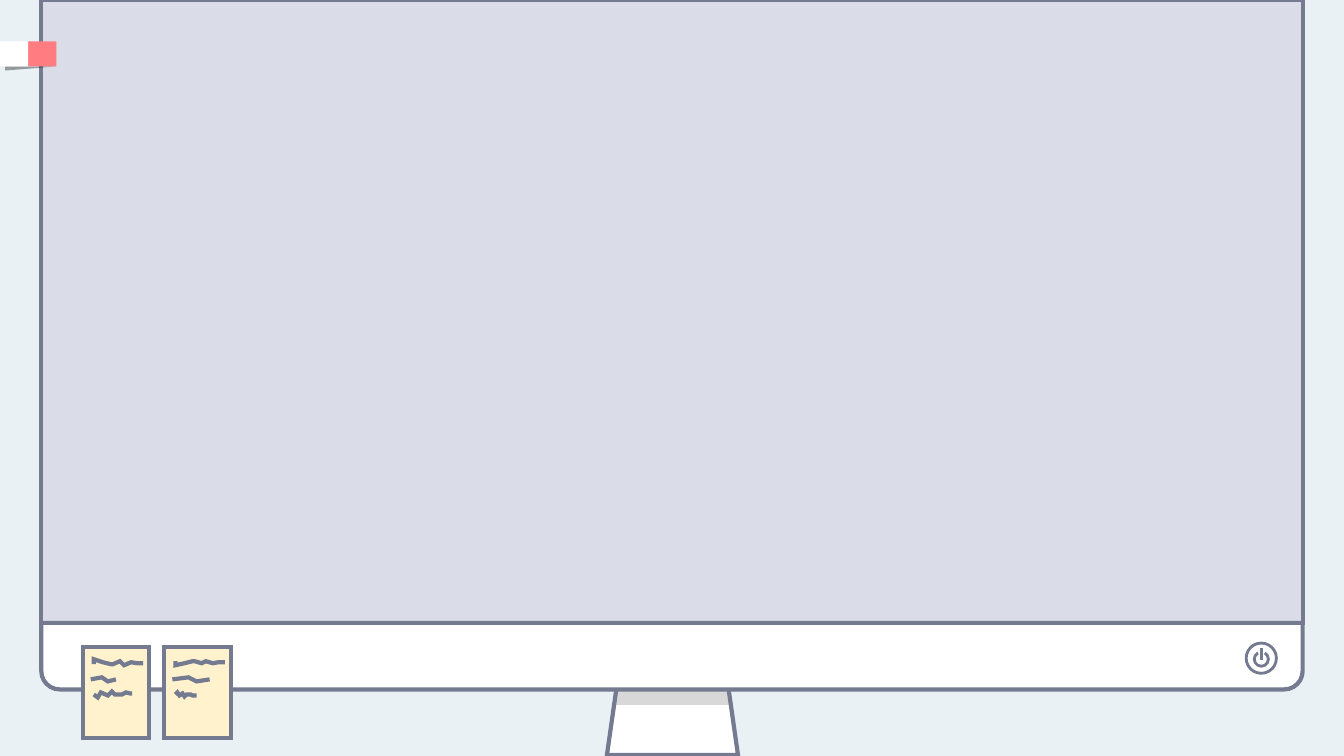
from copy import deepcopy

from lxml import etree
from pptx import Presentation
from pptx.dml.color import RGBColor
from pptx.enum.shapes import MSO_CONNECTOR, MSO_SHAPE
from pptx.oxml.ns import qn
from pptx.util import Inches, Pt

RECT = MSO_SHAPE.RECTANGLE
ROUNDED = MSO_SHAPE.ROUND_2_SAME_RECTANGLE
TRAPEZOID = MSO_SHAPE.TRAPEZOID
OVAL = MSO_SHAPE.OVAL
ARC = MSO_SHAPE.ARC
TRIANGLE = MSO_SHAPE.RIGHT_TRIANGLE
STRAIGHT = MSO_CONNECTOR.STRAIGHT

THEME = {
    "background": "E9F1F4", "outline": "747A90", "screen": "DADCE8",
    "white": "FFFFFF", "shade": "D8D8D8", "flag": "FF7C80",
    "note": "FFF2CC", "shadow": "000000", "thick": 3, "thin": 2,
}

SLIDE = (13.33, 7.5)
MONITOR_LEFT, MONITOR_WIDTH = 0.41, 12.51
SCREEN_HEIGHT, BEZEL_HEIGHT = 6.18, 0.66
STAND = (6.02, 6.58, 1.3, 0.91)
STAND_STOPS = [(0, "white"), (54, "white"), (55, "shade"), (100, "shade")]
POWER_BUTTON = (12.36, 6.38, 0.3, 0.3)
POWER_RING = (12.44, 6.47, 0.14, 0.14)
POWER_BAR = ((12.51, 6.43), (12.51, 6.55))
TAB_TOP, TAB_WIDTH, TAB_HEIGHT = 0.41, 0.28, 0.25
TAB_COLOURS = ["white", "flag"]
TAB_SHADOW = (0.05, 0.66, 0.5, 0.04)
NOTE_TOP, NOTE_WIDTH, NOTE_HEIGHT = 6.42, 0.66, 0.9

NOTES = [
    {"left": 0.82,
     "scribbles": [
         [(0.93, 6.59), (0.93, 6.54), (1.02, 6.57), (1.1, 6.59), (1.12, 6.59),
          (1.19, 6.56), (1.23, 6.6), (1.3, 6.57), (1.36, 6.58), (1.42, 6.58)],
         [(0.9, 6.74), (1.01, 6.72), (1.07, 6.76), (1.15, 6.74)],
         [(0.93, 6.89), (0.97, 6.92), (1, 6.87), (1.07, 6.9), (1.11, 6.86),
          (1.14, 6.89), (1.21, 6.89), (1.25, 6.87), (1.29, 6.88), (1.31, 6.88)]]},
    {"left": 1.63,
     "scribbles": [
         [(1.74, 6.56), (1.74, 6.6), (1.83, 6.58), (1.91, 6.56), (1.93, 6.56),
          (2, 6.58), (2.04, 6.56), (2.11, 6.58), (2.17, 6.57), (2.23, 6.57)],
         [(1.71, 6.74), (1.87, 6.72), (1.95, 6.76), (2.08, 6.74)],
         [(1.74, 6.89), (1.76, 6.87), (1.78, 6.9), (1.81, 6.88), (1.83, 6.91),
          (1.85, 6.89), (1.89, 6.89), (1.91, 6.9), (1.93, 6.9), (1.95, 6.9)]]},
]


def colour(key):
    return RGBColor.from_string(THEME[key])


def style(part, fill=None, line=None):
    part.shadow.inherit = False
    if fill:
        part.fill.solid()
        part.fill.fore_color.rgb = colour(fill)
    else:
        part.fill.background()
    if line:
        part.line.color.rgb = colour("outline")
        part.line.width = Pt(THEME[line])
        etree.SubElement(part._element.spPr.find(qn("a:ln")), qn("a:miter"), lim="800000")
    else:
        part.line.fill.background()
    return part


def add_part(slide, preset, box, fill=None, line=None, adjust=()):
    part = slide.shapes.add_shape(preset, *map(Inches, box))
    for index, value in enumerate(adjust):
        part.adjustments[index] = value
    return style(part, fill, line)


def add_scribble(slide, points):
    start, *rest = [(Inches(x), Inches(y)) for x, y in points]
    builder = slide.shapes.build_freeform(*start, scale=1.0)
    builder.add_line_segments(rest, close=False)
    style(builder.convert_to_shape(), line="thick")


def shade_stand(stand):
    stand.fill.gradient()
    stand.fill.gradient_angle = 90
    stop_list = stand._element.spPr.find(qn("a:gradFill")).find(qn("a:gsLst"))
    template = deepcopy(stop_list[0])
    for stop in list(stop_list):
        stop_list.remove(stop)
    for _ in STAND_STOPS:
        stop_list.append(deepcopy(template))
    for stop, (position, key) in zip(stand.fill.gradient_stops, STAND_STOPS):
        stop.position = position / 100
        stop.color.rgb = colour(key)


def add_monitor(slide):
    shade_stand(add_part(slide, TRAPEZOID, STAND, "white", "thick", [0.143]))
    add_part(slide, ROUNDED, (MONITOR_LEFT, 0, MONITOR_WIDTH, SCREEN_HEIGHT),
             "screen", "thick", [0, 0])
    add_part(slide, ROUNDED, (MONITOR_LEFT, SCREEN_HEIGHT, MONITOR_WIDTH, BEZEL_HEIGHT),
             "white", "thick", [0, 0.276])


def add_power(slide):
    add_part(slide, OVAL, POWER_BUTTON, "white", "thin")
    add_part(slide, ARC, POWER_RING, line="thin", adjust=[179.588, 145.299])
    start, end = POWER_BAR
    bar = slide.shapes.add_connector(STRAIGHT, *map(Inches, start + end))
    bar.line.color.rgb = colour("outline")
    bar.line.width = Pt(THEME["thin"])
    etree.SubElement(bar._element.spPr, qn("a:effectLst"))


def add_tab(slide):
    for column, key in reversed(list(enumerate(TAB_COLOURS))):
        add_part(slide, RECT, (column * TAB_WIDTH, TAB_TOP, TAB_WIDTH, TAB_HEIGHT), key)
    shadow = add_part(slide, TRIANGLE, TAB_SHADOW, "shadow")
    shadow.rotation = 180
    shadow._element.spPr.xfrm.set("flipH", "1")
    tint = shadow._element.spPr.find(qn("a:solidFill"))[0]
    etree.SubElement(tint, qn("a:alpha"), val="36000")


def add_note(slide, note):
    add_part(slide, RECT, (note["left"], NOTE_TOP, NOTE_WIDTH, NOTE_HEIGHT), "note", "thick")
    for scribble in note["scribbles"]:
        add_scribble(slide, scribble)


def main():
    deck = Presentation()
    deck.slide_width, deck.slide_height = map(Inches, SLIDE)
    slide = deck.slides.add_slide(deck.slide_layouts[6])
    slide.background.fill.solid()
    slide.background.fill.fore_color.rgb = colour("background")
    add_monitor(slide)
    add_power(slide)
    add_tab(slide)
    for note in NOTES:
        add_note(slide, note)
    deck.save("out.pptx")


if __name__ == "__main__":
    main()
